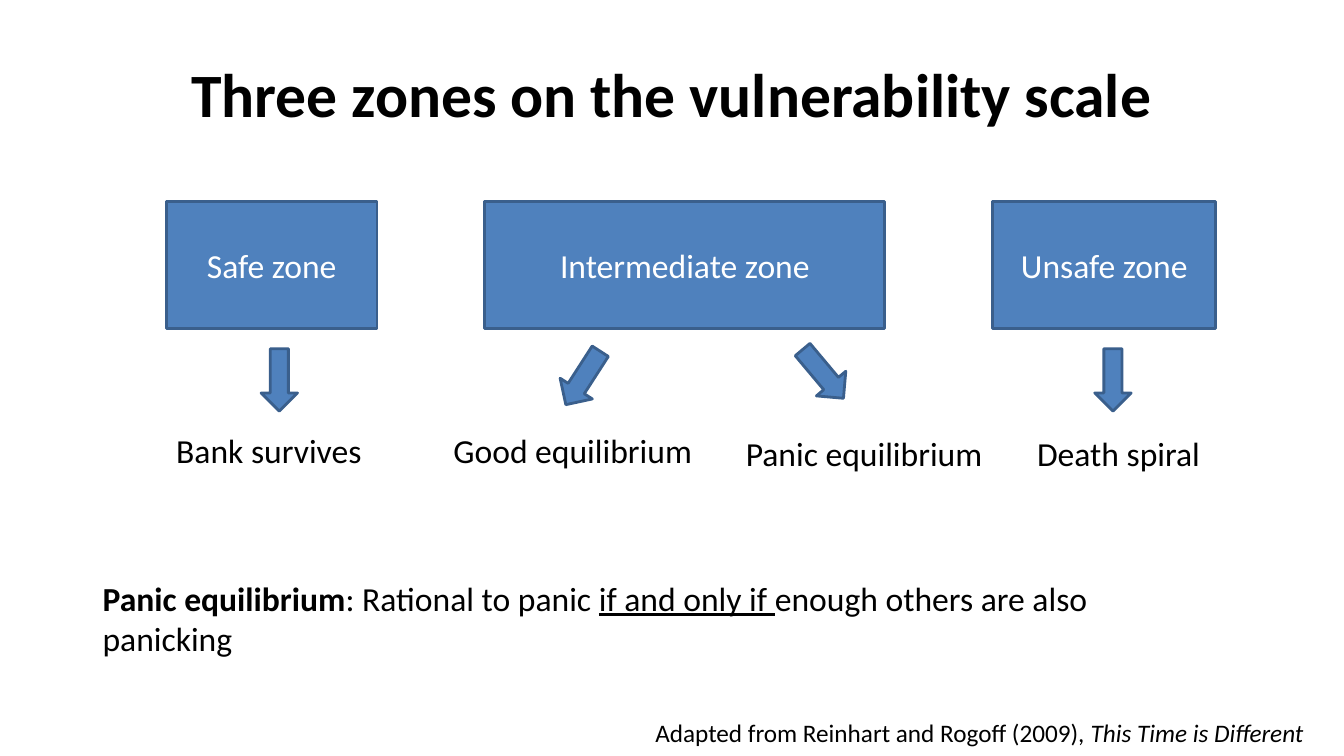
from pptx import Presentation
from pptx import util as u
from pptx.dml import color
from pptx.enum import shapes, text

HUES = {"fill": "4F81BD", "edge": "3A5F8C", "ink": "000000", "pale": "FFFFFF"}
FORM = shapes.MSO_SHAPE
ALIGN = text.PP_ALIGN
MID = text.MSO_ANCHOR.MIDDLE
TOP = text.MSO_ANCHOR.TOP


def hue(name):
    return color.RGBColor.from_string(HUES[name])


def style(run, size, ink="ink", mark=""):
    """Format a run; mark holds any of b, i, u."""
    font = run.font
    font.name, font.size = "Calibri", u.Pt(size)
    font.color.rgb = hue(ink)
    font.bold, font.italic, font.underline = (key in mark for key in "biu")


def add_text(slide, place, parts, size=24, align=ALIGN.LEFT, anchor=TOP):
    """Add a text box whose parts are (words, mark) pairs."""
    frame = slide.shapes.add_textbox(*map(u.Pt, place)).text_frame
    frame.word_wrap = True
    frame.vertical_anchor = anchor
    para = frame.paragraphs[0]
    para.alignment = align
    for words, mark in parts:
        run = para.add_run()
        run.text = words
        style(run, size, mark=mark)


def add_form(slide, kind, place, turn=0):
    form = slide.shapes.add_shape(kind, *map(u.Pt, place))
    form.shadow.inherit = False
    form.rotation = turn
    form.fill.solid()
    form.fill.fore_color.rgb = hue("fill")
    form.line.color.rgb = hue("edge")
    form.line.width = u.Pt(2)
    return form


def add_zone(slide, left, width, name):
    frame = add_form(slide, FORM.RECTANGLE, (left, 144, width, 90.7)).text_frame
    frame.word_wrap = True
    frame.vertical_anchor = MID
    frame.text = name
    para = frame.paragraphs[0]
    para.alignment = ALIGN.CENTER
    style(para.runs[0], 24, "pale")


def main():
    deck = Presentation()
    deck.slide_width, deck.slide_height = u.Pt(960), u.Pt(540)
    slide = deck.slides.add_slide(deck.slide_layouts[6])

    # Title
    add_text(slide, (48, 21.6, 864, 90),
             [("Three zones on the vulnerability scale", "b")],
             44, ALIGN.CENTER, MID)

    # Zones
    for left, width, name in ((118.8, 150.5, "Safe zone"),
                              (346.3, 285.8, "Intermediate zone"),
                              (709.2, 159.1, "Unsafe zone")):
        add_zone(slide, left, width, name)

    # Arrows from zones to outcomes
    for left in (186.5, 782):
        add_form(slide, FORM.DOWN_ARROW, (left, 249.1, 26, 44.6))
    add_form(slide, FORM.RIGHT_ARROW, (565.2, 253.4, 45.4, 27.4), 50)
    add_form(slide, FORM.LEFT_ARROW, (393.8, 256.3, 45.4, 27.4), 302.8)

    # Outcomes
    for left, top, width, name in ((118.8, 303.8, 150.5, "Bank survives"),
                                   (316.8, 303.8, 185.8, "Good equilibrium"),
                                   (525.6, 305.5, 185.8, "Panic equilibrium"),
                                   (733.7, 305.5, 134.6, "Death spiral")):
        add_text(slide, (left, top, width, 36), [(name, "")])

    # Definition
    add_text(slide, (66.2, 409, 751.7, 65.5),
             [("Panic equilibrium", "b"), (": Rational to panic ", ""),
              ("if and only if ", "u"),
              ("enough others are also panicking", "")])

    # Credit
    add_text(slide, (450, 509, 488.2, 28.8),
             [("Adapted from Reinhart and Rogoff (2009), ", ""),
              ("This Time is Different", "i")], 18, ALIGN.RIGHT)

    deck.save("out.pptx")


if __name__ == "__main__":
    main()
